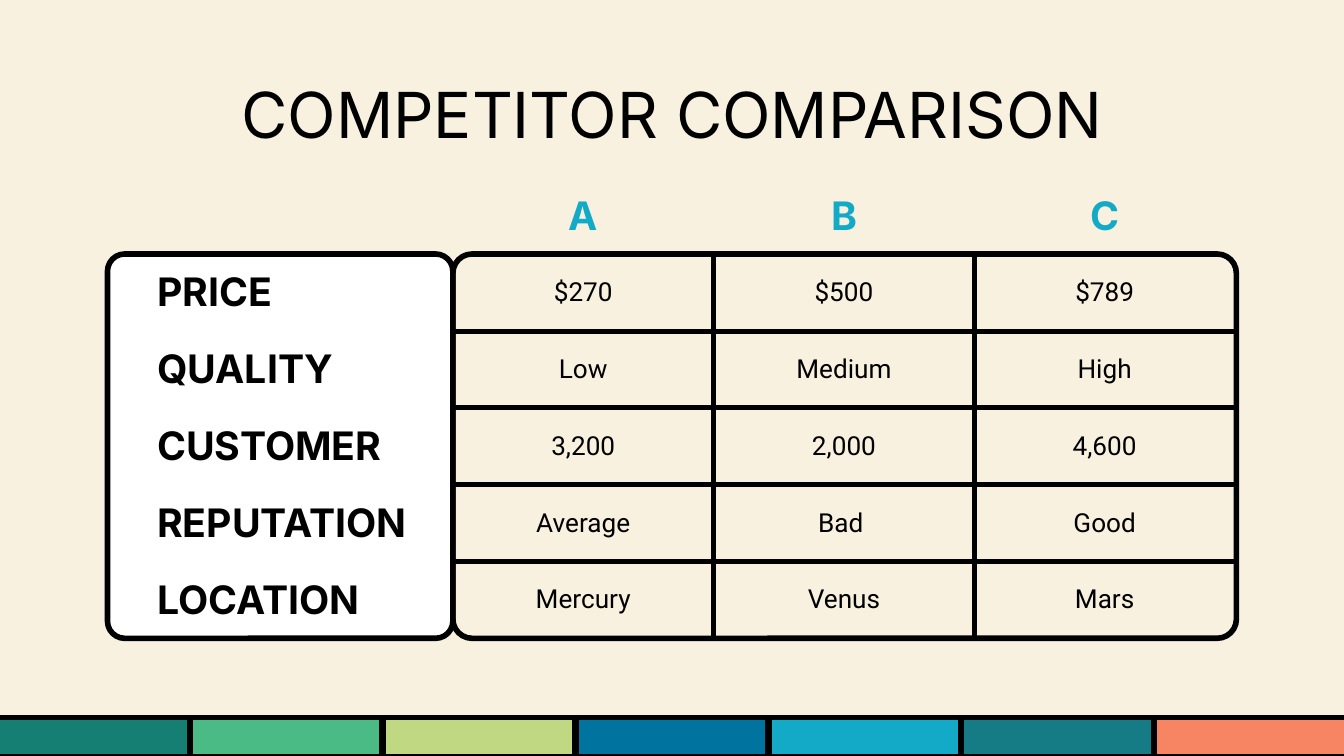
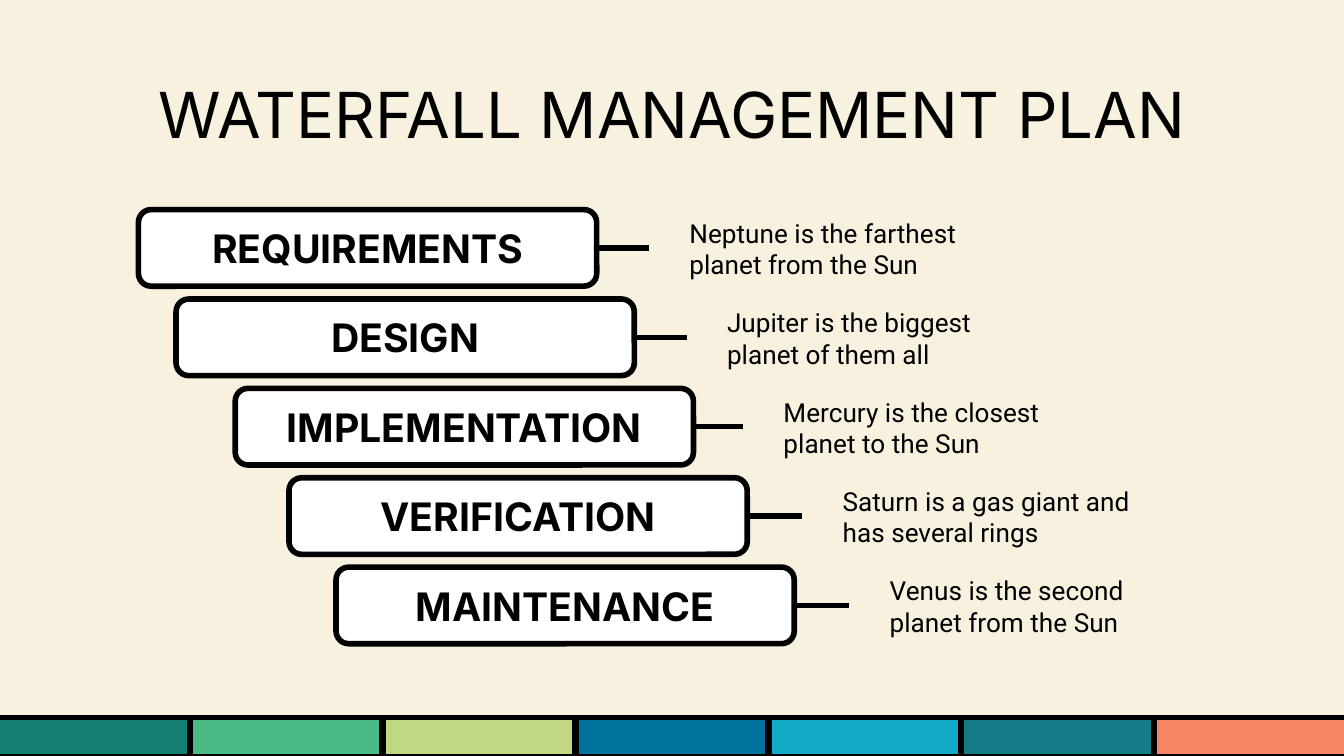
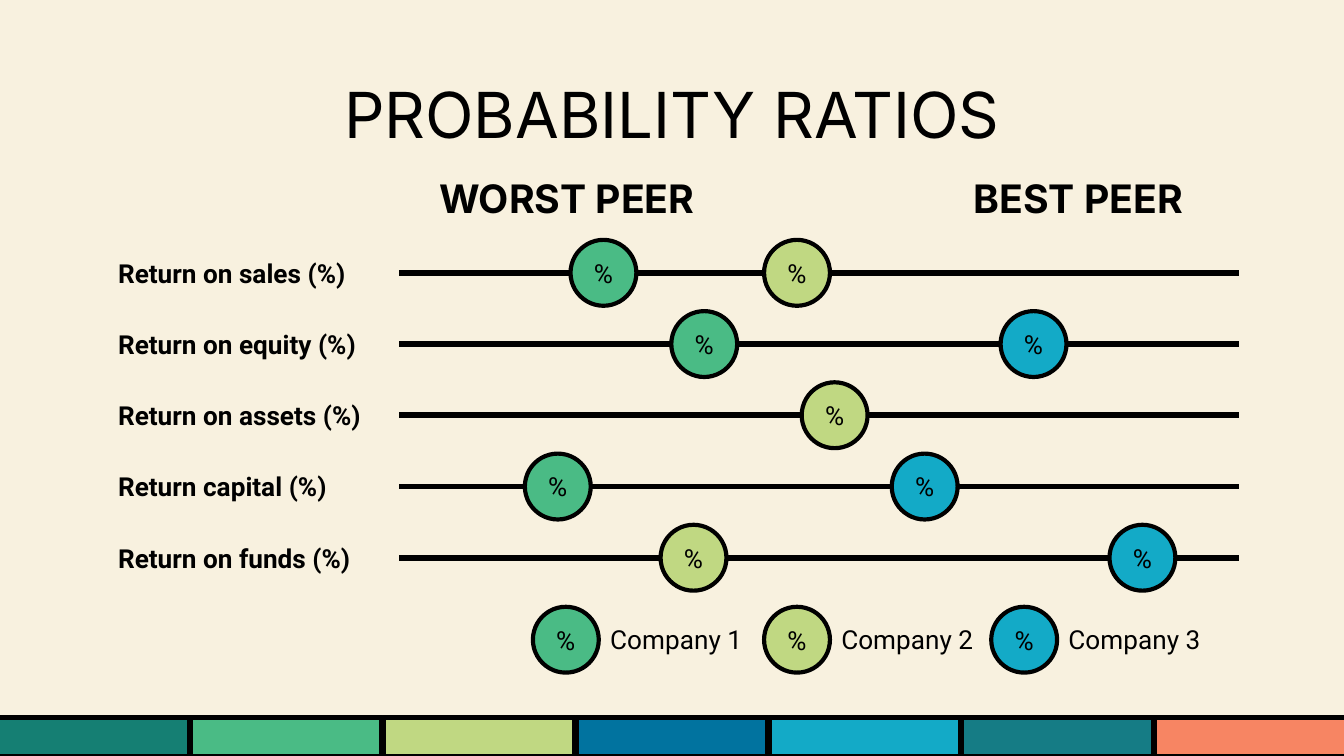
import pptx
import pptx.dml.color
import pptx.enum.shapes
import pptx.enum.text
import pptx.oxml.ns
import pptx.util
from lxml import etree

Inches = pptx.util.Inches
Pt = pptx.util.Pt
RGB = pptx.dml.color.RGBColor.from_string
Shape = pptx.enum.shapes.MSO_SHAPE
Align = pptx.enum.text.PP_ALIGN
Anchor = pptx.enum.text.MSO_ANCHOR
qn = pptx.oxml.ns.qn

COLORS = {
    "cream": "F8F1DF", "black": "000000", "white": "FFFFFF",
    "forest": "157F73", "green": "4ABB85", "lime": "C0D882",
    "blue": "01739F", "cyan": "13AAC7", "teal": "157C85", "coral": "F78563",
}
HEADING, BODY = "Inter", "Roboto"
LINE_WIDTH = 3


def add_box(slide, kind, left, top, width, height, fill=None, line_width=LINE_WIDTH):
    box = slide.shapes.add_shape(kind, Inches(left), Inches(top), Inches(width), Inches(height))
    box.shadow.inherit = False
    if fill:
        box.fill.solid()
        box.fill.fore_color.rgb = RGB(COLORS[fill])
    else:
        box.fill.background()
    box.line.color.rgb = RGB(COLORS["black"])
    box.line.width = Pt(line_width)
    return box


def write(frame, text, size, font, bold=False, align=Align.LEFT, color="black",
          anchor=Anchor.MIDDLE, insets=(0.1, 0.1, 0.1, 0.1)):
    frame.text = text
    frame.word_wrap = True
    frame.vertical_anchor = anchor
    frame.margin_left, frame.margin_top, frame.margin_right, frame.margin_bottom = map(Inches, insets)
    para = frame.paragraphs[0]
    para.alignment = align
    for span in para.runs:
        span.font.size = Pt(size)
        span.font.name = font
        span.font.bold = bold
        span.font.color.rgb = RGB(COLORS[color])


# Widescreen deck, 16 to 9
deck = pptx.Presentation()
deck.slide_width = Inches(10)
deck.slide_height = deck.slide_width * 9 // 16
master = deck.slide_master
master.background.fill.solid()
master.background.fill.fore_color.rgb = RGB(COLORS["cream"])

# Slides with their titles
slides = []
for title_text in ["COMPETITOR COMPARISON", "WATERFALL MANAGEMENT PLAN", "PROBABILITY RATIOS"]:
    slide = deck.slides.add_slide(deck.slide_layouts[5])
    title = slide.shapes.title
    title.left, title.top = Inches(0.78), Inches(0.46)
    title.width, title.height = Inches(8.44), Inches(0.63)
    write(title.text_frame, title_text, 34, HEADING, align=Align.CENTER, anchor=Anchor.TOP)
    title.text_frame.auto_size = pptx.enum.text.MSO_AUTO_SIZE.NONE
    slides.append(slide)
comparison, waterfall, ratios = slides

# Colour band along the bottom, moved to the master
band_colors = ["forest", "green", "lime", "blue", "cyan", "teal", "coral"]
for index, color in enumerate(band_colors):
    tile = add_box(comparison, Shape.RECTANGLE, -0.02 + 8.61 * index / 6, 5.34, 1.43, 0.29, color)
    tile.element.nvSpPr.cNvPr.id = 20 + index
    master.shapes.element.append(tile.element)

# Positions of the waterfall steps and the ratio rows
CARD_WIDTH, CARD_HEIGHT = 3.41, 0.57
steps = [
    ("REQUIREMENTS", 1.03, 4.83, "Neptune is the farthest planet from the Sun"),
    ("DESIGN", 1.31, 5.11, "Jupiter is the biggest planet of them all"),
    ("IMPLEMENTATION", 1.75, 5.53, "Mercury is the closest planet to the Sun"),
    ("VERIFICATION", 2.15, 5.97, "Saturn is a gas giant and has several rings"),
    ("MAINTENANCE", 2.5, 6.32, "Venus is the second planet from the Sun"),
]
step_tops = [1.56 + 2.66 * index / 4 for index in range(len(steps))]
row_centers = [2.03 + 0.53 * index for index in range(5)]

# Lines: step to note, and one scale for each ratio
lines = [(waterfall, card_left + CARD_WIDTH, note_left, top + CARD_HEIGHT / 2)
         for (name, card_left, note_left, note), top in zip(steps, step_tops)]
lines += [(ratios, 2.97, 9.22, center) for center in row_centers]
for slide, start, end, y in lines:
    line = slide.shapes.add_connector(pptx.enum.shapes.MSO_CONNECTOR.STRAIGHT,
                                      Inches(start), Inches(y), Inches(end), Inches(y))
    line.line.color.rgb = RGB(COLORS["black"])
    line.line.width = Pt(LINE_WIDTH)
    etree.SubElement(line.element.spPr, qn("a:effectLst"))

# Competitor comparison: panels behind the table
for left, width, fill in [(3.37, 5.83, None), (0.8, 2.57, "white")]:
    panel = add_box(comparison, Shape.ROUNDED_RECTANGLE, left, 1.89, width, 2.86, fill)
    panel.adjustments[0] = 0.05

# Competitor comparison: table
table_rows = [
    ["", "A", "B", "C"],
    ["PRICE", "$270", "$500", "$789"],
    ["QUALITY", "Low", "Medium", "High"],
    ["CUSTOMER", "3,200", "2,000", "4,600"],
    ["REPUTATION", "Average", "Bad ", "Good"],
    ["LOCATION", "Mercury", "Venus", "Mars"],
]
column_widths = [2.55, 1.94, 1.94, 1.94]
last_row, last_column = len(table_rows) - 1, len(column_widths) - 1
table_frame = comparison.shapes.add_table(
    len(table_rows), len(column_widths), Inches(0.82), Inches(1.32),
    Inches(sum(column_widths)), Inches(3.43))
table = table_frame.table
table.first_row = table.horz_banding = False
for style in table_frame.element.iter(qn("a:tableStyleId")):
    style.text = "{2D5ABB26-0587-4C30-8999-92F81FD0307C}"  # no style, no grid
for column, width in zip(table.columns, column_widths):
    column.width = Inches(width)

for row, values in enumerate(table_rows):
    for column, value in enumerate(values):
        cell = table.cell(row, column)
        is_heading = row == 0 or column == 0
        write(cell.text_frame, value, 21 if is_heading else 14, HEADING if is_heading else BODY,
              bold=is_heading, align=Align.CENTER if column else Align.LEFT,
              color="black" if row else "cyan")
        cell.vertical_anchor = Anchor.MIDDLE
        cell.margin_left = Inches(0.1 if column else 0.35)
        cell.margin_right = Inches(0.1 if column else 0.05)
        cell.margin_top = cell.margin_bottom = Inches(0.1)
        # Only the inner edges of the value grid are ruled
        inner_edges = {"a:lnL": column > 1, "a:lnR": column < last_column,
                       "a:lnT": row > 1, "a:lnB": row < last_row}
        properties = cell._tc.get_or_add_tcPr()
        for edge, is_inner in inner_edges.items():
            if row and column and is_inner:
                border = etree.SubElement(properties, qn(edge), w=str(Pt(LINE_WIDTH)))
                border_fill = etree.SubElement(border, qn("a:solidFill"))
                etree.SubElement(border_fill, qn("a:srgbClr"), val=COLORS["black"])
        cell.fill.background()

# Waterfall management plan: cards and notes
for (name, card_left, note_left, note), top in zip(steps, step_tops):
    card = add_box(waterfall, Shape.ROUNDED_RECTANGLE, card_left, top, CARD_WIDTH, CARD_HEIGHT, "white")
    write(card.text_frame, name, 21, HEADING, bold=True, align=Align.CENTER)
    note_box = waterfall.shapes.add_textbox(Inches(note_left), Inches(top), Inches(2.64), Inches(0.58))
    write(note_box.text_frame, note, 14, BODY, insets=(0.3, 0.1, 0.1, 0.1))

# Probability ratios: headings and row labels
for heading, left, width, align in [("WORST PEER", 3.17, 2.67, Align.LEFT),
                                    ("BEST PEER", 6.62, 2.28, Align.RIGHT)]:
    heading_box = ratios.shapes.add_textbox(Inches(left), Inches(1.26), Inches(width), Inches(0.42))
    write(heading_box.text_frame, heading, 21, HEADING, bold=True, align=align)

ratio_names = ["Return on sales (%)", "Return on equity (%)", "Return on assets (%)",
               "Return capital (%)", "Return on funds (%)"]
for name, center in zip(ratio_names, row_centers):
    label = ratios.shapes.add_textbox(Inches(0.78), Inches(center - 0.21), Inches(2.19), Inches(0.42))
    write(label.text_frame, name, 14, BODY, bold=True, insets=(0.1, 0.1, 0, 0.1))

# Probability ratios: markers as (row, centre) and the legend
MARKER_SIZE, LEGEND_CENTER = 0.49, 4.76
companies = [
    ("Company 1", "green", 4.21, [(0, 4.49), (1, 5.24), (3, 4.15)]),
    ("Company 2", "lime", 5.93, [(0, 5.93), (2, 6.21), (4, 5.16)]),
    ("Company 3", "cyan", 7.62, [(1, 7.69), (3, 6.88), (4, 8.5)]),
]
for name, color, legend_x, values in companies:
    centers = [(x, row_centers[row]) for row, x in values] + [(legend_x, LEGEND_CENTER)]
    for x, y in centers:
        marker = add_box(ratios, Shape.OVAL, x - MARKER_SIZE / 2, y - MARKER_SIZE / 2,
                         MARKER_SIZE, MARKER_SIZE, color, 2.25)
        write(marker.text_frame, "%", 14, BODY, align=Align.CENTER)
    legend = ratios.shapes.add_textbox(Inches(legend_x + 0.33), Inches(LEGEND_CENTER - 0.16),
                                       Inches(1.21), Inches(0.31))
    write(legend.text_frame, name, 14, BODY, insets=(0, 0, 0, 0))

deck.save("out.pptx")
